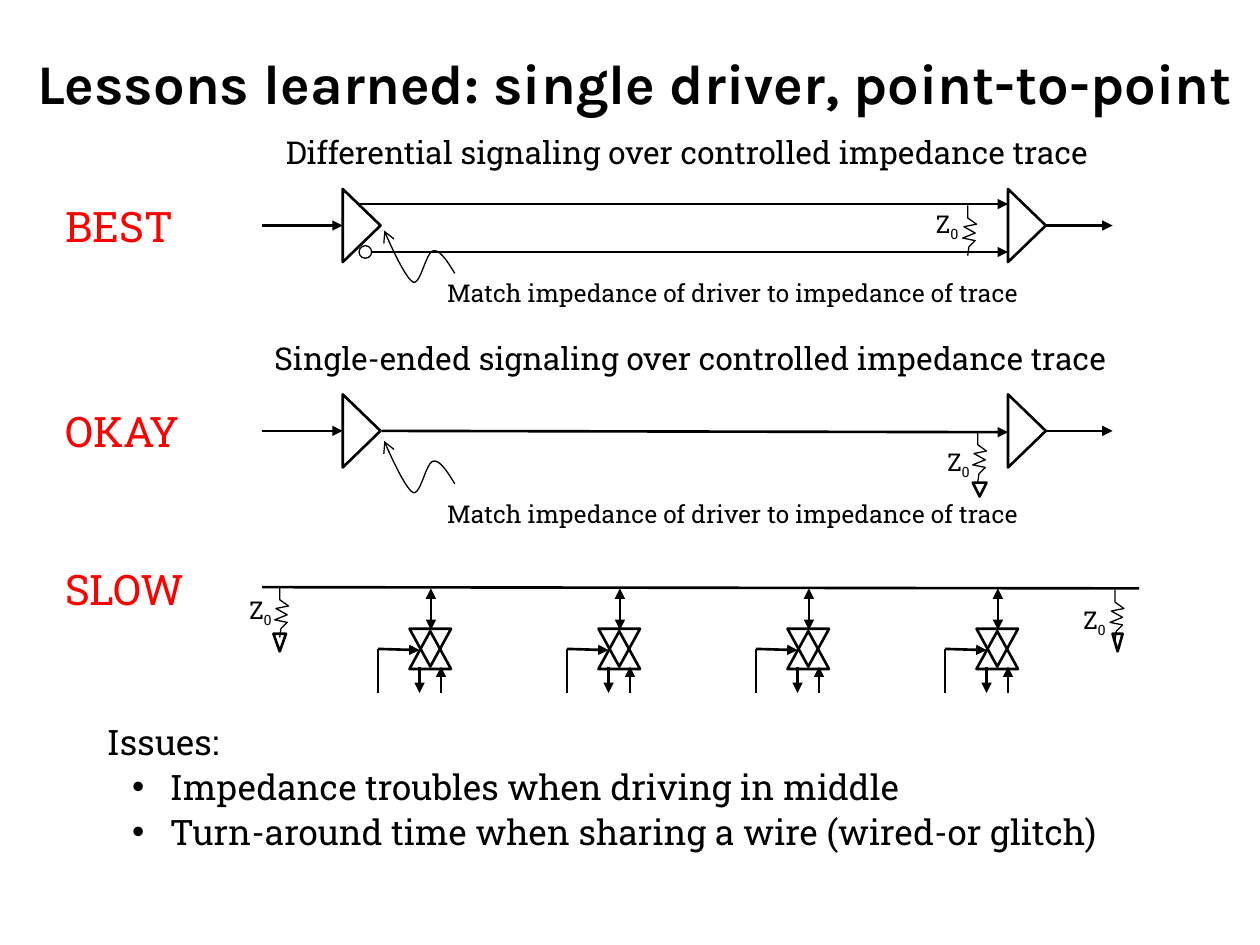
from lxml.etree import SubElement
from pptx import Presentation
from pptx.dml.color import RGBColor
from pptx.enum.shapes import MSO_CONNECTOR, MSO_SHAPE
from pptx.enum.text import MSO_ANCHOR, MSO_AUTO_SIZE, PP_ALIGN
from pptx.oxml.ns import qn
from pptx.util import Inches, Pt

HEX = {"ink": "000000", "red": "FF0000", "paper": "FFFFFF"}
SLAB = "Roboto Slab"

deck = Presentation()
deck.slide_width, deck.slide_height = Inches(10), Inches(7.5)
slide = deck.slides.add_slide(deck.slide_layouts[5])
shapes = slide.shapes


def ink(shape, width=1.5, head=None, tail=None):
    shape.line.color.rgb = RGBColor.from_string(HEX["ink"])
    shape.line.width = Pt(width)
    for tag, kind in (("a:headEnd", head), ("a:tailEnd", tail)):
        if kind:
            SubElement(shape.line._get_or_add_ln(), qn(tag), type=kind)
    SubElement(shape._element.spPr, qn("a:effectLst"))


def write(para, text, size, color="ink", name=SLAB, bold=False):
    run = para.add_run()
    run.text = text
    form = {"size": Pt(size), "name": name, "bold": bold}
    for key, val in form.items():
        setattr(run.font, key, val)
    run.font.color.rgb = RGBColor.from_string(HEX[color])
    return run


title = shapes.title
place = {"left": 0.08, "top": 0.3, "width": 9.92, "height": 0.7}
for key, val in place.items():
    setattr(title, key, Inches(val))
frame = title.text_frame
look = {"vertical_anchor": MSO_ANCHOR.MIDDLE, "auto_size": MSO_AUTO_SIZE.NONE, "word_wrap": True}
for key, val in look.items():
    setattr(frame, key, val)
frame.paragraphs[0].alignment = PP_ALIGN.CENTER
write(frame.paragraphs[0], "Lessons learned: single driver, point-to-point", 32, name="Karla", bold=True)

frame = shapes.add_textbox(Inches(0.75), Inches(5.67), Inches(9), Inches(1.58)).text_frame
frame.word_wrap = True
write(frame.paragraphs[0], "Issues:", 20)
for text in (
    "Impedance troubles when driving in middle",
    "Turn-around time when sharing a wire (wired-or glitch)",
):
    para = frame.add_paragraph()
    para.space_before = Pt(1.6)
    props = para._p.get_or_add_pPr()
    props.set("marL", str(Inches(0.5)))
    props.set("indent", str(Inches(-0.3)))
    SubElement(props, qn("a:buFont"), typeface="Arial")
    SubElement(props, qn("a:buChar"), char="•")
    write(para, text, 20)

TIP = "triangle"
wires = [
    (9.04, 4.67, 2.08, 4.66, None, None),
    (8, 1.62, 2.85, 1.62, TIP, None),
    (8, 2, 2.85, 2, TIP, None),
    (8, 3.43, 3.03, 3.42, TIP, None),
]
cones = [
    (8.83, 5.03, 0.08, 0.14, 180),
    (2.17, 5.03, 0.1, 0.14, 180),
    (7.72, 3.83, 0.11, 0.11, 180),
]
for y in (1.79, 3.42):
    wires += [(2.72, y, 2.08, y, TIP, None), (8.83, y, 8.29, y, TIP, None)]
    cones += [(x, y - 0.15, 0.58, 0.3, 90) for x in (2.58, 7.86)]
for col in range(4):
    x = 3 + 1.5 * col
    wires += [
        (x + 0.42, 4.67, x + 0.42, 5, TIP, TIP),
        (x + 0.33, 5.29, x + 0.33, 5.5, None, TIP),
        (x + 0.5, 5.29, x + 0.5, 5.5, TIP, None),
        (x + 0.33, 5.16, x, 5.15, TIP, None),
        (x, 5.15, x, 5.5, None, None),
    ]
    cones += [(x + 0.25, 5.01, 0.33, 0.3, 0), (x + 0.25, 4.99, 0.33, 0.3, 180)]

for *ends, head, tail in wires:
    wire = shapes.add_connector(MSO_CONNECTOR.STRAIGHT, *map(Inches, ends))
    ink(wire, 1.5, head, tail)
for *box, turn in cones:
    cone = shapes.add_shape(MSO_SHAPE.ISOSCELES_TRIANGLE, *map(Inches, box))
    cone.rotation = turn
    cone.fill.background()
    ink(cone)

ZIG = [(0.04, 0), (0.04, 0.1), (0.11, 0.15), (0.01, 0.17), (0.1, 0.22),
       (0, 0.26), (0.1, 0.28), (0.05, 0.33), (0.04, 0.4)]
BENDS = [
    [(0.56, 0.34), (0.5, 0.24), (0.44, 0.15), (0.39, 0.16)],
    [(0.39, 0.16), (0.33, 0.17), (0.29, 0.43), (0.23, 0.41)],
    [(0.23, 0.41), (0.16, 0.38), (0, 0), (0, 0)],
]
wave = []
for bend in BENDS:
    for step in range(13):
        t = step / 12
        mix = ((1 - t) ** 3, 3 * t * (1 - t) ** 2, 3 * t * t * (1 - t), t ** 3)
        wave.append(tuple(sum(m * p[axis] for m, p in zip(mix, bend)) for axis in (0, 1)))

for left, top, track, tail in (
    (8.81, 4.68, ZIG, None),
    (2.18, 4.66, ZIG, None),
    (7.64, 1.63, ZIG, None),
    (7.72, 3.43, ZIG, None),
    (3.05, 1.83, wave, "arrow"),
    (3.05, 3.5, wave, "arrow"),
):
    dots = [(Inches(left + x), Inches(top + y)) for x, y in track]
    pen = shapes.build_freeform(*dots[0])
    pen.add_line_segments(dots[1:], close=False)
    curve = pen.convert_to_shape()
    curve.fill.background()
    ink(curve, 0.75, tail=tail)

MATCH = "Match impedance of driver to impedance of trace"
for left, top, width, height, text, size, color, sub in (
    (0.42, 1.54, 1.14, 0.51, "BEST", 24, "red", ""),
    (0.42, 3.17, 1.15, 0.51, "OKAY", 24, "red", ""),
    (0.42, 4.42, 1.23, 0.51, "SLOW", 24, "red", ""),
    (2.17, 1.01, 6.79, 0.4, "Differential signaling over controlled impedance trace", 18, "ink", ""),
    (2.08, 2.64, 7.01, 0.4, "Single-ended signaling over controlled impedance trace", 18, "ink", ""),
    (3.45, 2.16, 4.88, 0.34, MATCH, 14, "ink", ""),
    (3.45, 3.91, 4.88, 0.34, MATCH, 14, "ink", ""),
    (7.33, 1.61, 0.41, 0.34, "Z", 14, "ink", "0"),
    (7.42, 3.5, 0.41, 0.34, "Z", 14, "ink", "0"),
    (1.88, 4.67, 0.41, 0.34, "Z", 14, "ink", "0"),
    (8.5, 4.75, 0.41, 0.34, "Z", 14, "ink", "0"),
):
    label = shapes.add_textbox(*map(Inches, (left, top, width, height)))
    frame = label.text_frame
    for key, val in {"word_wrap": False, "auto_size": MSO_AUTO_SIZE.SHAPE_TO_FIT_TEXT}.items():
        setattr(frame, key, val)
    write(frame.paragraphs[0], text, size, color)
    if sub:
        run = write(frame.paragraphs[0], sub, size, color)
        run.font._element.set("baseline", "-25000")

ring = shapes.add_shape(MSO_SHAPE.OVAL, *map(Inches, (2.85, 1.95, 0.1, 0.1)))
ring.fill.solid()
ring.fill.fore_color.rgb = RGBColor.from_string(HEX["paper"])
ink(ring, 0.75)

deck.save("out.pptx")
